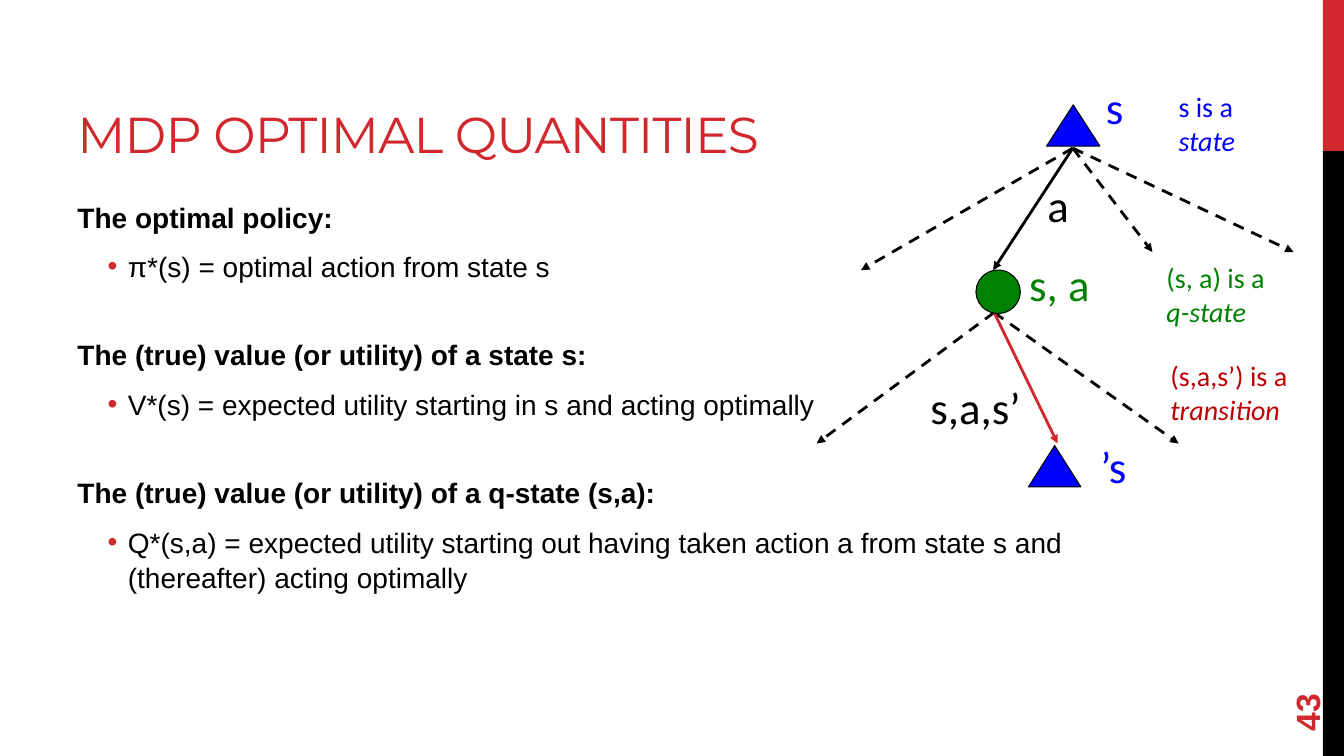
from dataclasses import dataclass

from lxml.etree import SubElement
from pptx import Presentation
from pptx.dml.color import RGBColor
from pptx.enum.dml import MSO_LINE
from pptx.enum.shapes import MSO_CONNECTOR, MSO_SHAPE
from pptx.enum.text import MSO_ANCHOR, PP_ALIGN
from pptx.oxml.ns import qn
from pptx.util import Inches, Pt

COLORS = {"red": "D1282E", "black": "000000", "blue": "0000FF",
          "green": "008000", "crimson": "C00000"}


@dataclass
class Box:
    left: float
    top: float
    width: float
    height: float


@dataclass
class Node:
    kind: MSO_SHAPE
    box: Box
    color: str
    outlined: bool = True


@dataclass
class Arrow:
    start: tuple[float, float]
    end: tuple[float, float]
    color: str = "black"
    dashed: bool = True


@dataclass
class Label:
    text: str
    box: Box
    color: str
    align: PP_ALIGN = PP_ALIGN.LEFT


@dataclass
class Caption:
    subject: str
    term: str
    box: Box
    color: str


@dataclass
class Quantity:
    heading: str
    definition: str


# Side bars and tree nodes
NODES = [
    Node(MSO_SHAPE.RECTANGLE, Box(13.12, 0, 0.21, 1.5), "red", False),
    Node(MSO_SHAPE.RECTANGLE, Box(13.12, 1.5, 0.21, 6), "black", False),
    Node(MSO_SHAPE.ISOSCELES_TRIANGLE, Box(10.38, 1.04, 0.53, 0.41), "blue"),
    Node(MSO_SHAPE.ISOSCELES_TRIANGLE, Box(10.2, 4.42, 0.52, 0.41), "blue"),
    Node(MSO_SHAPE.OVAL, Box(9.68, 2.68, 0.44, 0.43), "green"),
]

# Tree branches
STATE_FOOT = (10.64, 1.47)
Q_STATE_FOOT = (9.86, 3.1)
ARROWS = [
    Arrow(STATE_FOOT, (8.54, 2.68)),
    Arrow(STATE_FOOT, (12.83, 2.5)),
    Arrow(STATE_FOOT, (9.85, 2.68), dashed=False),
    Arrow(STATE_FOOT, (11.43, 2.5)),
    Arrow(Q_STATE_FOOT, (8.1, 4.4)),
    Arrow(Q_STATE_FOOT, (11.69, 4.4)),
    Arrow(Q_STATE_FOOT, (10.49, 4.4), "red", False),
]

LABELS = [
    Label("a", Box(10.29, 1.71, 0.44, 0.64), "black"),
    Label("s", Box(10.87, 0.74, 0.44, 0.64), "blue"),
    Label("s, a", Box(10.11, 2.5, 1.9, 0.64), "green"),
    Label("s,a,s’", Box(9.13, 3.72, 1.71, 0.64), "black"),
    Label("’s", Box(10.14, 4.3, 1.13, 0.64), "blue", PP_ALIGN.RIGHT),
]

CAPTIONS = [
    Caption("(s,a,s’) is a", "transition", Box(11.51, 3.51, 1.5, 0.77), "crimson"),
    Caption("s is a", "state", Box(11.59, 0.84, 1.15, 0.77), "blue"),
    Caption("(s, a) is a", "q-state", Box(11.47, 2.54, 1.42, 0.77), "green"),
]

QUANTITIES = [
    Quantity("The optimal policy:", "π*(s) = optimal action from state s"),
    Quantity("The (true) value (or utility) of a state s:",
             "V*(s) = expected utility starting in s and acting optimally"),
    Quantity("The (true) value (or utility) of a q-state (s,a):",
             "Q*(s,a) = expected utility starting out having taken action a "
             "from state s and (thereafter) acting optimally"),
]


def rgb(name: str) -> RGBColor:
    return RGBColor.from_string(COLORS[name])


def place(box: Box) -> list:
    return [Inches(n) for n in (box.left, box.top, box.width, box.height)]


def add_node(page, node: Node) -> None:
    shape = page.shapes.add_shape(node.kind, *place(node.box))
    shape.shadow.inherit = False
    shape.fill.solid()
    shape.fill.fore_color.rgb = rgb(node.color)
    if node.outlined:
        shape.line.color.rgb = rgb("black")
        shape.line.width = Pt(0.75)
    else:
        shape.line.fill.background()


def add_arrow(page, arrow: Arrow) -> None:
    ends = [Inches(n) for n in (*arrow.start, *arrow.end)]
    branch = page.shapes.add_connector(MSO_CONNECTOR.STRAIGHT, *ends)
    branch.line.color.rgb = rgb(arrow.color)
    branch.line.width = Pt(2)
    if arrow.dashed:
        branch.line.dash_style = MSO_LINE.DASH
    properties = branch._element.spPr
    SubElement(properties.find(qn("a:ln")), qn("a:tailEnd"), type="triangle")
    SubElement(properties, qn("a:effectLst"))


def add_text_box(page, box: Box, anchor: MSO_ANCHOR = MSO_ANCHOR.TOP):
    shape = page.shapes.add_textbox(*place(box))
    shape.text_frame.word_wrap = True
    shape.text_frame.vertical_anchor = anchor
    return shape


def add_span(para, text: str, size: float, font: str, color: str,
             bold: bool = False, italic: bool = False):
    span = para.add_run()
    span.text = text
    span.font.size = Pt(size)
    span.font.name = font
    span.font.color.rgb = rgb(color)
    span.font.bold = bold
    span.font.italic = italic
    return span


def add_bullet(para) -> None:
    properties = para._p.get_or_add_pPr()
    properties.set("marL", str(Inches(0.5)))
    properties.set("indent", str(Inches(-0.2)))
    color = SubElement(properties, qn("a:buClr"))
    SubElement(color, qn("a:srgbClr"), val=COLORS["red"])
    SubElement(properties, qn("a:buFont"), typeface="Arial")
    SubElement(properties, qn("a:buChar"), char="•")


def add_quantities(page) -> None:
    frame = add_text_box(page, Box(0.67, 1.92, 11.11, 4.78)).text_frame
    for index, quantity in enumerate(QUANTITIES):
        heading = frame.add_paragraph() if index else frame.paragraphs[0]
        heading.line_spacing = 1.05
        heading.space_before = Pt(38 if index else 0)
        heading.space_after = Pt(6)
        add_span(heading, quantity.heading, 20, "Arial", "black", bold=True)
        definition = frame.add_paragraph()
        definition.line_spacing = 1.05
        definition.space_before = Pt(4)
        add_bullet(definition)
        add_span(definition, quantity.definition, 20, "Arial", "black")


def main() -> None:
    deck = Presentation()
    deck.slide_width, deck.slide_height = Inches(13.33), Inches(7.5)
    page = deck.slides.add_slide(deck.slide_layouts[6])

    # Title, body and page number
    title = add_text_box(page, Box(0.67, 0.17, 8.44, 1.5), MSO_ANCHOR.BOTTOM)
    span = add_span(title.text_frame.paragraphs[0], "MDP OPTIMAL QUANTITIES",
                    36, "Montserrat", "red")
    span.font._element.set("spc", "-60")
    add_quantities(page)
    number = add_text_box(page, Box(12.24, 6.37, 1.44, 0.53), MSO_ANCHOR.MIDDLE)
    number.rotation = 270
    add_span(number.text_frame.paragraphs[0], "43", 24, "Arial", "red", bold=True)

    # Search tree
    for arrow in ARROWS:
        add_arrow(page, arrow)
    for node in NODES:
        add_node(page, node)
    for label in LABELS:
        para = add_text_box(page, label.box).text_frame.paragraphs[0]
        para.alignment = label.align
        add_span(para, label.text, 32, "Calibri", label.color)
    for caption in CAPTIONS:
        para = add_text_box(page, caption.box).text_frame.paragraphs[0]
        add_span(para, caption.subject, 20, "Calibri", caption.color)
        para.add_line_break()
        add_span(para, caption.term, 20, "Calibri", caption.color, italic=True)

    deck.save("out.pptx")


if __name__ == "__main__":
    main()
